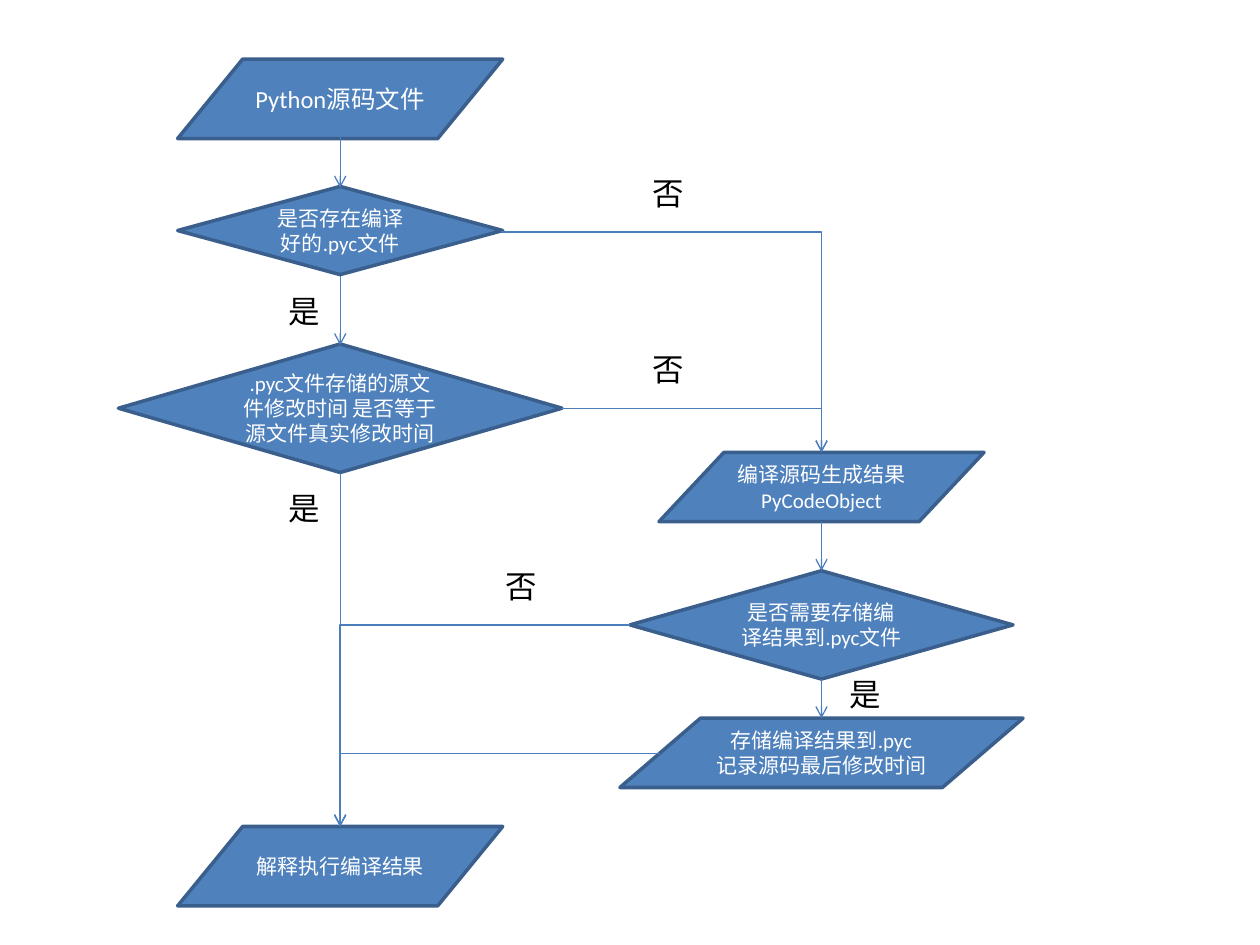
import pptx
import pptx.dml.color
import pptx.enum.shapes
import pptx.enum.text
import pptx.oxml.ns
import pptx.oxml.xmlchemy
import pptx.util

EMU_PER_PX = 9144
FONT = "Calibri"
COLORS = {
    "fill": "4F81BD",
    "outline": "3A5F8C",
    "arrow": "4B7EBC",
    "light": "FFFFFF",
    "dark": "000000",
}
LEFT_AXIS = 270
RIGHT_AXIS = 652
DATA = pptx.enum.shapes.MSO_SHAPE.FLOWCHART_DATA
DECISION = pptx.enum.shapes.MSO_SHAPE.FLOWCHART_DECISION

STEPS = [
    (DATA, LEFT_AXIS, 47, 258, 63, 14, ["Python源码文件"]),
    (DECISION, LEFT_AXIS, 148, 258, 70, 12, ["是否存在编译好的.pyc文件"]),
    (DECISION, LEFT_AXIS, 273, 352, 102, 12,
     [".pyc文件存储的源文件修改时间 是否等于 源文件真实修改时间"]),
    (DATA, LEFT_AXIS, 656, 258, 63, 12, ["解释执行编译结果"]),
    (DATA, RIGHT_AXIS, 359, 258, 55, 12, ["编译源码生成结果PyCodeObject"]),
    (DECISION, RIGHT_AXIS, 453, 304, 86, 12, ["是否需要存储编译结果到.pyc文件"]),
    (DATA, RIGHT_AXIS, 570, 320, 55, 12, ["存储编译结果到.pyc", "记录源码最后修改时间"]),
]
ARROWS = [
    (LEFT_AXIS, 109, LEFT_AXIS, 149),
    (LEFT_AXIS, 219, LEFT_AXIS, 274),
    (LEFT_AXIS, 375, LEFT_AXIS, 656),
    (RIGHT_AXIS, 414, RIGHT_AXIS, 453),
    (RIGHT_AXIS, 539, RIGHT_AXIS, 570),
    (398, 184, RIGHT_AXIS, 359),
    (445, 324, RIGHT_AXIS, 359),
    (500, 496, LEFT_AXIS, 656),
    (524, 598, LEFT_AXIS, 656),
]
ANSWERS = [
    ("是", 219, 227),
    ("是", 219, 383),
    ("否", 508, 133),
    ("否", 508, 273),
    ("是", 664, 531),
    ("否", 391, 445),
]


def px(*lengths):
    return [pptx.util.Emu(length * EMU_PER_PX) for length in lengths]


def color(name):
    return pptx.dml.color.RGBColor.from_string(COLORS[name])


def add_run(paragraph, text, size, color_name):
    run = paragraph.add_run()
    run.text = text
    run.font.name = FONT
    run.font.size = pptx.util.Pt(size)
    run.font.color.rgb = color(color_name)


def add_step(slide, kind, center, top, width, height, size, lines):
    shape = slide.shapes.add_shape(kind, *px(center - width // 2, top, width, height))
    shape.shadow.inherit = False
    shape.fill.solid()
    shape.fill.fore_color.rgb = color("fill")
    shape.line.color.rgb = color("outline")
    shape.line.width = pptx.util.Pt(2)
    frame = shape.text_frame
    frame.word_wrap = True
    frame.vertical_anchor = pptx.enum.text.MSO_ANCHOR.MIDDLE
    for index, line in enumerate(lines):
        paragraph = frame.add_paragraph() if index else frame.paragraphs[0]
        paragraph.alignment = pptx.enum.text.PP_ALIGN.CENTER
        add_run(paragraph, line, size, "light")


def add_arrow(slide, start_x, start_y, end_x, end_y):
    kinds = pptx.enum.shapes.MSO_CONNECTOR
    bent = start_x != end_x
    connector = slide.shapes.add_connector(
        kinds.ELBOW if bent else kinds.STRAIGHT, *px(start_x, start_y, end_x, end_y))
    connector.line.color.rgb = color("arrow")
    connector.line.width = pptx.util.Pt(0.75)
    properties = connector._element.spPr
    if bent:
        properties.find(pptx.oxml.ns.qn("a:prstGeom")).set("prst", "bentConnector2")
    head = pptx.oxml.xmlchemy.OxmlElement("a:tailEnd")
    head.set("type", "arrow")
    properties.find(pptx.oxml.ns.qn("a:ln")).append(head)
    properties.append(pptx.oxml.xmlchemy.OxmlElement("a:effectLst"))


def add_answer(slide, text, left, top):
    frame = slide.shapes.add_textbox(*px(left, top, 45, 40)).text_frame
    frame.word_wrap = False
    frame.auto_size = pptx.enum.text.MSO_AUTO_SIZE.SHAPE_TO_FIT_TEXT
    add_run(frame.paragraphs[0], text, 18, "dark")


def main():
    presentation = pptx.Presentation()
    presentation.slide_width, presentation.slide_height = px(1000, 750)
    slide = presentation.slides.add_slide(presentation.slide_layouts[6])
    for step in STEPS:
        add_step(slide, *step)
    for arrow in ARROWS:
        add_arrow(slide, *arrow)
    for answer in ANSWERS:
        add_answer(slide, *answer)
    presentation.save("out.pptx")


if __name__ == "__main__":
    main()
